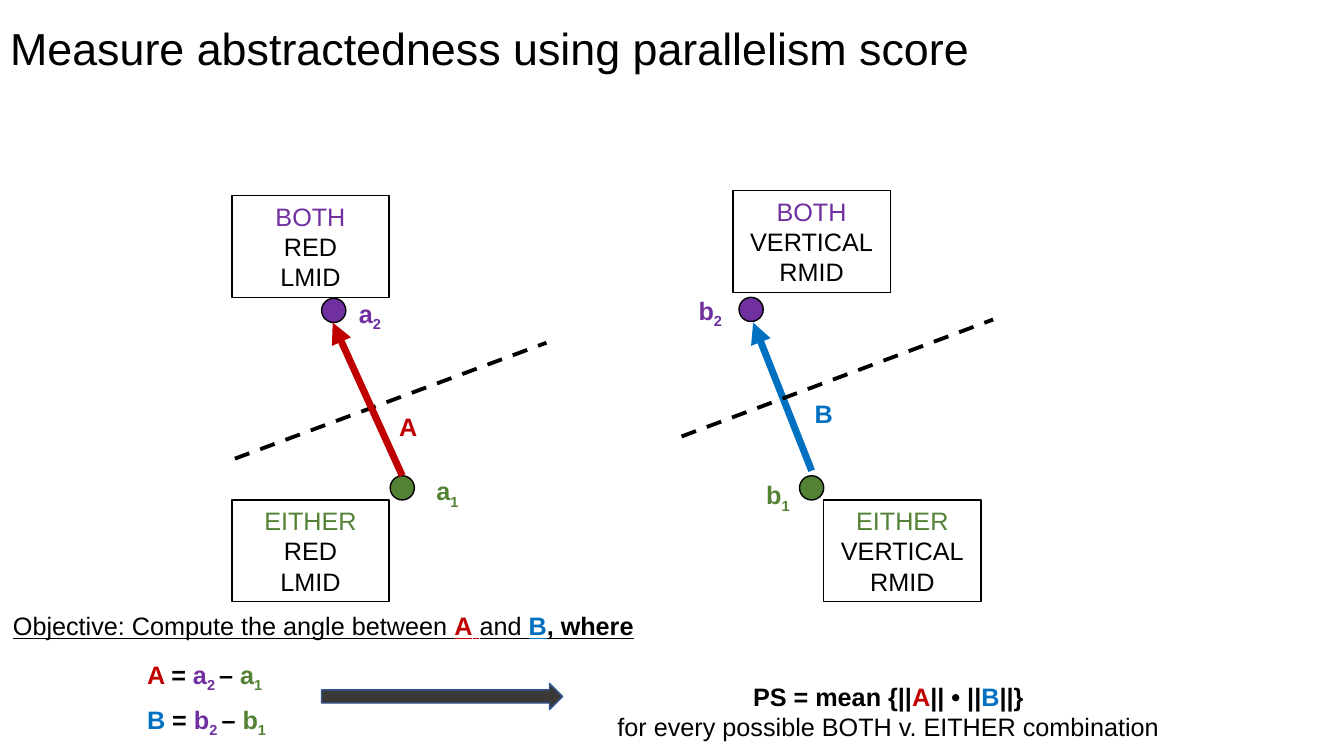
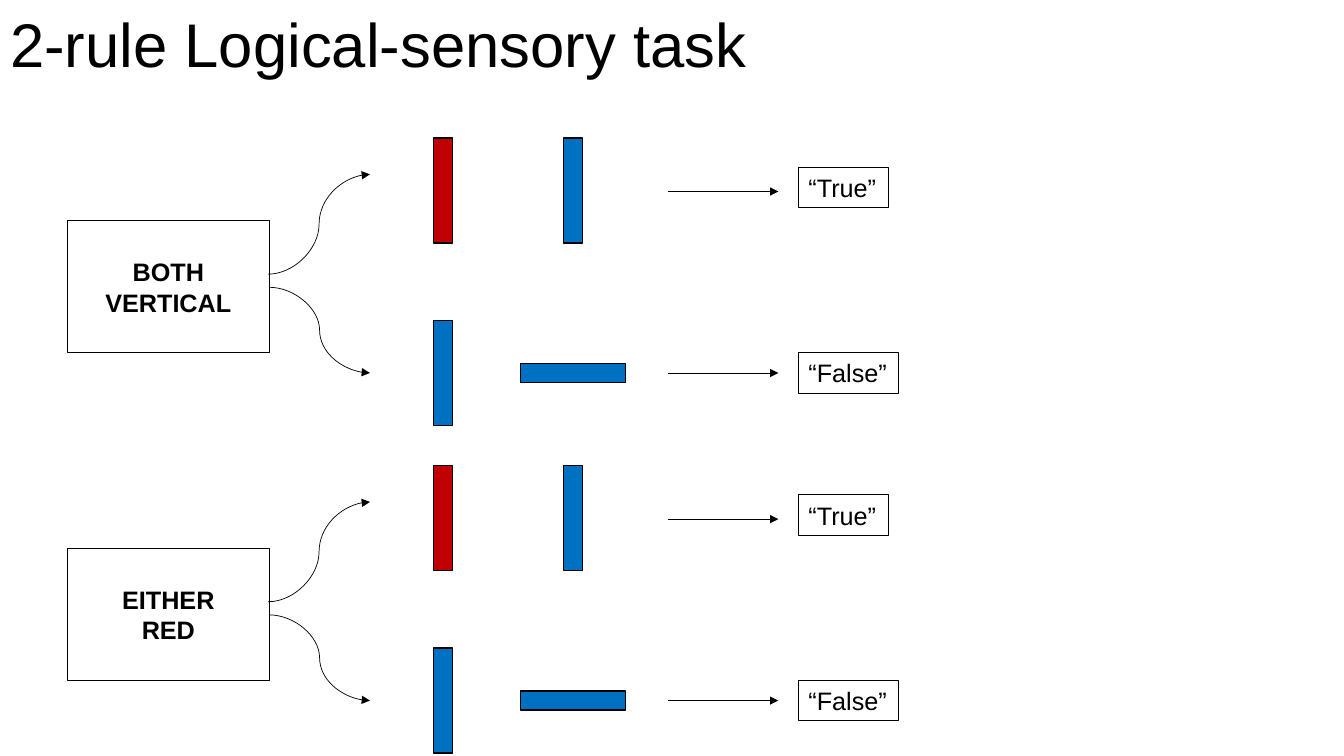
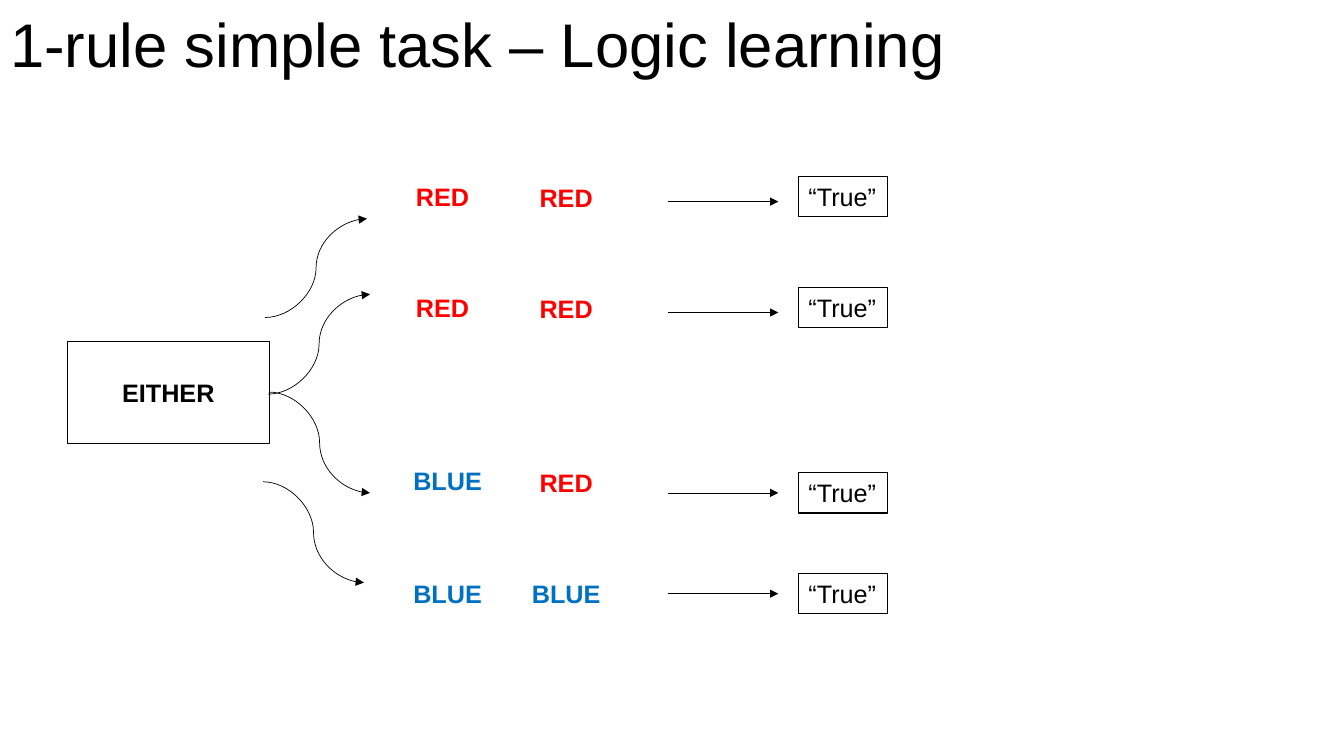
"""Build three slides on the parallelism score and the logical-sensory tasks."""
from dataclasses import dataclass

from lxml import etree
from pptx import Presentation
from pptx.dml.color import RGBColor as RGB
from pptx.enum.dml import MSO_LINE
from pptx.enum.shapes import MSO_CONNECTOR as CONN, MSO_SHAPE as SHAPE
from pptx.enum.text import MSO_ANCHOR as ANCHOR, MSO_AUTO_SIZE as AUTO, PP_ALIGN as ALIGN
from pptx.oxml.ns import qn
from pptx.util import Inches, Pt


@dataclass(frozen=True)
class Theme:
    """Colours, font and type sizes of the deck."""
    black: str = "000000"
    white: str = "FFFFFF"
    purple: str = "7030A0"
    green: str = "548235"
    crimson: str = "C00000"
    red: str = "FF0000"
    blue: str = "0070C0"
    arrow: str = "3B3838"
    arrow_edge: str = "325491"
    font: str = "Arial"
    body: int = 18
    title: int = 44
    small_title: int = 32


T = Theme()


def add_box(s, kind, at, paras=(), fill=None, edge=None, weight=1, align=ALIGN.CENTER,
            anchor=ANCHOR.TOP, wrap=True):
    """Add a shape (or a text box when kind is None) with lists of (text, colour, flags) runs."""
    at = [Inches(v) for v in at]
    if kind is None:
        sp = s.shapes.add_textbox(*at)
    else:
        sp = s.shapes.add_shape(kind, *at)
        sp.shadow.inherit = False
        sp.line.color.rgb = RGB.from_string(edge or T.black)
        sp.line.width = Pt(weight)
        if fill:
            sp.fill.solid()
            sp.fill.fore_color.rgb = RGB.from_string(fill)
        else:
            sp.fill.background()
    tf = sp.text_frame
    tf.word_wrap = wrap
    tf.vertical_anchor = anchor
    for i, runs in enumerate(paras):
        p = tf.add_paragraph() if i else tf.paragraphs[0]
        p.alignment = align
        for text, color, flags in runs:
            r = p.add_run()
            r.text = text
            fmt = {"name": T.font, "size": Pt(T.body), "bold": "b" in flags,
                   "underline": "u" in flags}
            for key, value in fmt.items():
                setattr(r.font, key, value)
            r.font.color.rgb = RGB.from_string(color)
            if "s" in flags:
                r._r.get_or_add_rPr().set("baseline", "-25000")
    return sp


def add_line(s, start, end, color=T.black, weight=0.5, kind=CONN.STRAIGHT, dash=None, head=True):
    """Add a connector, with an arrowhead at its end unless head is False."""
    sp = s.shapes.add_connector(kind, *[Inches(v) for v in (*start, *end)])
    sp.line.color.rgb = RGB.from_string(color)
    sp.line.width = Pt(weight)
    if dash:
        sp.line.dash_style = dash
    if head:
        etree.SubElement(sp.line._get_or_add_ln(), qn("a:tailEnd"), type="triangle")
    etree.SubElement(sp._element.spPr, qn("a:effectLst"))


prs = Presentation()
prs.slide_width, prs.slide_height = Inches(13.33), Inches(7.5)

titles = [
    ("Measure abstractedness using parallelism score", T.small_title, (0, 0.02, 12.87, 0.98)),
    ("2-rule Logical-sensory task", T.title, (0, 0, 13.33, 0.95)),
    ("1-rule simple task – Logic learning", T.title, (0, 0, 13.33, 0.95)),
]
slides = []
for text, size, at in titles:
    s = prs.slides.add_slide(prs.slide_layouts[5])
    sp = s.shapes.title
    sp.left, sp.top, sp.width, sp.height = [Inches(v) for v in at]
    tf = sp.text_frame
    tf.text = text
    tf.auto_size = AUTO.NONE
    tf.vertical_anchor = ANCHOR.MIDDLE
    p = tf.paragraphs[0]
    p.alignment = ALIGN.LEFT
    p.line_spacing = 0.9
    for key, value in {"name": T.font, "size": Pt(size)}.items():
        setattr(p.runs[0].font, key, value)
    p.runs[0].font.color.rgb = RGB.from_string(T.black)
    slides.append(s)
score, two_rule, one_rule = slides

s = score
conditions = [
    (2.3, 1.94, "BOTH", T.purple, "RED", "LMID"),
    (7.27, 1.89, "BOTH", T.purple, "VERTICAL", "RMID"),
    (2.3, 4.96, "EITHER", T.green, "RED", "LMID"),
    (8.17, 4.96, "EITHER", T.green, "VERTICAL", "RMID"),
]
for x, y, rule, color, feature, place in conditions:
    paras = [[(rule, color, "")], [(feature, T.black, "")], [(place, T.black, "")]]
    add_box(s, SHAPE.RECTANGLE, (x, y, 1.56, 1.01), paras, T.white, anchor=ANCHOR.MIDDLE)

for x, y, color in [(3.87, 4.72, T.green), (7.93, 4.72, T.green),
                    (7.33, 2.95, T.purple), (3.19, 2.96, T.purple)]:
    add_box(s, SHAPE.OVAL, (x, y, 0.24, 0.24), fill=color)

boundary = {"weight": 2.75, "dash": MSO_LINE.DASH, "head": False}
add_line(s, (2.33, 4.55), (5.42, 3.4), **boundary)
add_line(s, (3.99, 4.72), (3.3, 3.2), T.crimson, 5)
add_line(s, (8.05, 4.67), (7.47, 3.2), T.blue, 5)
add_line(s, (6.76, 4.33), (9.85, 3.17), **boundary)

labels = [
    (0.03, 6.01, 6.41, [("Objective: Compute the angle between ", T.black, "u"),
                        ("A", T.crimson, "bu"), (" ", T.crimson, "u"), ("and ", T.black, "u"),
                        ("B", T.blue, "bu"), (", where", T.black, "bu")]),
    (3.86, 4.03, 0.38, [("A", T.crimson, "b")]),
    (7.98, 3.9, 0.38, [("B", T.blue, "b")]),
]
for x, y, letter, index, color in [(4.23, 4.67, "a", "1", T.green), (7.5, 4.71, "b", "1", T.green),
                                   (3.46, 2.91, "a", "2", T.purple),
                                   (6.83, 2.88, "b", "2", T.purple)]:
    labels.append((x, y, 0.45, [(letter, color, "b"), (index, color, "bs")]))
for y, vector, letter, color in [(6.49, "A ", "a", T.crimson), (6.94, "B ", "b", T.blue)]:
    labels.append((1.36, y, 1.45, [(vector, color, "b"), ("= ", T.black, "b"),
                                   (letter, T.purple, "b"), ("2 ", T.purple, "bs"),
                                   ("– ", T.black, "b"), (letter, T.green, "b"),
                                   ("1", T.green, "bs")]))
for x, y, w, runs in labels:
    add_box(s, None, (x, y, w, 0.4), [runs], align=ALIGN.LEFT, wrap=False)

add_box(s, SHAPE.RIGHT_ARROW, (3.19, 6.78, 2.39, 0.26), fill=T.arrow, edge=T.arrow_edge)
formula = [("PS = mean {||", T.black, "b"), ("A", T.crimson, "b"), ("|| • ||", T.black, "b"),
           ("B", T.blue, "b"), ("||}", T.black, "b")]
add_box(s, None, (6, 6.71, 5.62, 0.71),
        [formula, [("for every possible BOTH v. EITHER combination", T.black, "")]], wrap=False)

s = two_rule
for dy, words in [(0, ("BOTH", "VERTICAL")), (3.25, ("EITHER", "RED"))]:
    add_box(s, SHAPE.RECTANGLE, (0.67, 2.19 + dy, 2, 1.31), [[(w, T.black, "b")] for w in words],
            weight=0.75, anchor=ANCHOR.MIDDLE)
    add_line(s, (2.67, 2.85 + dy), (3.67, 3.7 + dy), kind=CONN.CURVE)
    add_line(s, (2.66, 2.72 + dy), (3.67, 1.73 + dy), kind=CONN.CURVE)
    for bar_y, color, turn, arrow_y, answer_y, answer, w in [
            (1.37, T.crimson, 0, 1.9, 1.66, "“True”", 0.89),
            (3.18, T.blue, 90, 3.7, 3.5, "“False”", 0.99)]:
        add_box(s, SHAPE.RECTANGLE, (4.3, bar_y + dy, 0.19, 1.04), fill=color)
        sp = add_box(s, SHAPE.RECTANGLE, (5.59, bar_y + dy, 0.19, 1.04), fill=T.blue)
        sp.rotation = turn
        add_line(s, (6.63, arrow_y + dy), (7.72, arrow_y + dy))
        add_box(s, SHAPE.RECTANGLE, (7.92, answer_y + dy, w, 0.4), [[(answer, T.black, "")]],
                weight=0.75, align=ALIGN.LEFT, wrap=False)

s = one_rule
add_box(s, SHAPE.RECTANGLE, (0.67, 3.39, 2, 1.01), [[("EITHER", T.black, "b")]],
        weight=0.75, anchor=ANCHOR.MIDDLE)
for start, end in [((2.67, 3.89), (3.67, 4.89)), ((2.66, 3.91), (3.67, 2.92)),
                   ((2.61, 4.78), (3.61, 5.78)), ((2.63, 3.15), (3.64, 2.17))]:
    add_line(s, start, end, kind=CONN.CURVE)

word_style = {"RED": (T.red, 0.86), "BLUE": (T.blue, 0.96)}
for arrow_y, answer_y, first, first_y, second, second_y in [
        (2, 1.75, "RED", 1.75, "RED", 1.76),
        (3.1, 2.85, "RED", 2.85, "RED", 2.86),
        (4.89, 4.69, "BLUE", 4.57, "RED", 4.59),
        (5.89, 5.69, "BLUE", 5.69, "BLUE", 5.69)]:
    color, w = word_style[first]
    add_box(s, None, (3.96, first_y, w, 0.4), [[(first, color, "b")]])
    add_box(s, None, (5.12, second_y, 0.99, 0.4), [[(second, word_style[second][0], "b")]])
    add_line(s, (6.63, arrow_y), (7.72, arrow_y))
    add_box(s, SHAPE.RECTANGLE, (7.92, answer_y, 0.88, 0.4), [[("“True”", T.black, "")]],
            weight=0.75, align=ALIGN.LEFT, wrap=False)

prs.save("out.pptx")
